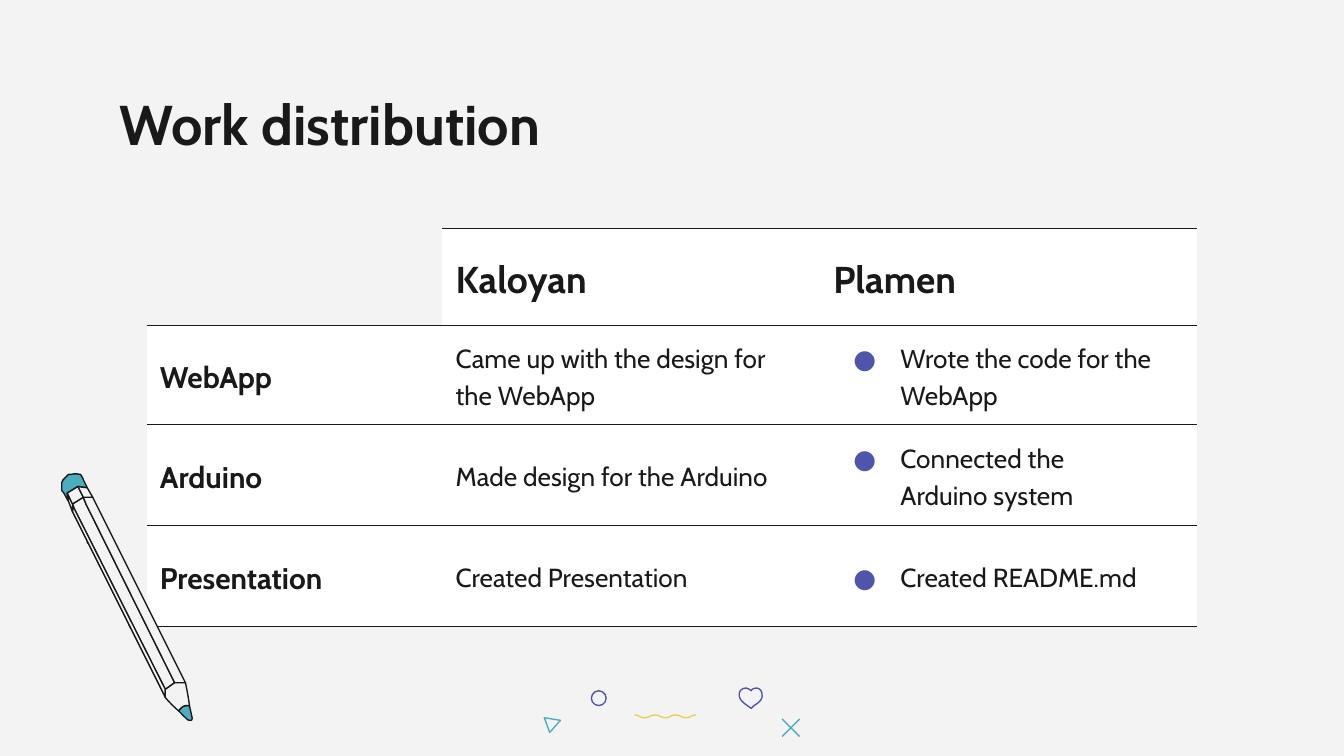
from lxml import etree
from pptx import Presentation
from pptx.dml.color import RGBColor
from pptx.enum.shapes import MSO_CONNECTOR, MSO_SHAPE
from pptx.enum.text import MSO_ANCHOR
from pptx.oxml import parse_xml
from pptx.oxml.ns import nsdecls, qn
from pptx.util import Inches, Pt

STRAIGHT = MSO_CONNECTOR.STRAIGHT
OVAL = MSO_SHAPE.OVAL
TOP, MIDDLE = MSO_ANCHOR.TOP, MSO_ANCHOR.MIDDLE
PLAIN = "{2D5ABB26-0587-4C30-8999-92F81FD0307C}"
HARD = chr(160)
THEME = {
    "font": "Cabin", "paper": "F3F3F3", "white": "FFFFFF", "ink": "191919",
    "teal": "4AAEBF", "blue": "4F55AB", "gold": "E8D24F",
    "title": 30, "head": 20, "label": 16, "body": 14, "line": 0.75,
}


def color(name):
    return RGBColor.from_string(THEME[name])


def draw(steps, line, fill=None, close=True):
    x, y = steps[0]
    dots = []
    for step in steps[1:]:
        if len(step) == 2:
            dots.append(step)
        else:
            a, b, c, d, e, f = step
            for i in range(1, 9):
                t = i / 8
                u = 1 - t
                dots.append((
                    u**3 * x + 3 * u * u * t * a + 3 * u * t * t * c + t**3 * e,
                    u**3 * y + 3 * u * u * t * b + 3 * u * t * t * d + t**3 * f,
                ))
        x, y = step[-2:]
    pen = shapes.build_freeform(Inches(steps[0][0]), Inches(steps[0][1]))
    pen.add_line_segments([(Inches(p), Inches(q)) for p, q in dots], close)
    form = pen.convert_to_shape()
    form.shadow.inherit = False
    form.line.color.rgb = color(line)
    form.line.width = Pt(THEME["line"])
    if fill:
        form.fill.solid()
        form.fill.fore_color.rgb = color(fill)
    else:
        form.fill.background()


deck = Presentation()
deck.slide_width, deck.slide_height = Inches(10), Inches(10 * 9 / 16)
slide = deck.slides.add_slide(deck.slide_layouts[6])
slide.background.fill.solid()
slide.background.fill.fore_color.rgb = color("paper")
shapes = slide.shapes

ring = shapes.add_shape(OVAL, Inches(4.4), Inches(5.14), Inches(0.11), Inches(0.11))
ring.shadow.inherit = False
ring.fill.background()
ring.line.color.rgb = color("blue")
ring.line.width = Pt(THEME["line"])

draw([(4.05, 5.34), (4.09, 5.45), (4.17, 5.36)], "teal")

wave = [(4.72, 5.32)]
for i in range(6):
    left, right = 4.72 + i * 0.46 / 6, 4.72 + (i + 1) * 0.46 / 6
    mid = (left + right) / 2
    start, end = (5.32, 5.34) if i % 2 == 0 else (5.34, 5.32)
    wave.append((mid, start, mid, end, right, end))
draw(wave, "gold", close=False)

for start, end in ((5.35, 5.48), (5.48, 5.35)):
    bar = shapes.add_connector(
        STRAIGHT, Inches(5.82), Inches(start), Inches(5.95), Inches(end))
    bar.line.color.rgb = color("teal")
    bar.line.width = Pt(THEME["line"])
    etree.SubElement(bar.element.spPr, qn("a:effectLst"))

heart = [
    (5.59, 5.27), (5.56, 5.25), (5.5, 5.21, 5.5, 5.18, 5.5, 5.17),
    (5.5, 5.14, 5.52, 5.12, 5.55, 5.12), (5.56, 5.12, 5.58, 5.13, 5.59, 5.14),
    (5.59, 5.13, 5.61, 5.12, 5.63, 5.12), (5.65, 5.12, 5.67, 5.14, 5.67, 5.17),
    (5.67, 5.18, 5.68, 5.21, 5.61, 5.25),
]
draw(heart, "blue")

title = shapes.add_textbox(Inches(0.79), Inches(0.57), Inches(8.43), Inches(0.63))
frame = title.text_frame
frame.word_wrap = True
frame.vertical_anchor = TOP
frame.margin_left = frame.margin_right = Inches(0.1)
frame.margin_top = frame.margin_bottom = Inches(0.1)
frame.text = "Work distribution"
font = frame.paragraphs[0].runs[0].font
font.name, font.size, font.bold = THEME["font"], Pt(THEME["title"]), True
font.color.rgb = color("ink")

rows = [
    ["", "Kaloyan", "Plamen"],
    ["WebApp", "Came up with the design for the WebApp", "Wrote the code for the WebApp"],
    ["Arduino", f"Made{HARD}design for the Arduino", f"Connected the Arduino{HARD}system"],
    ["Presentation", f"Created{HARD}Presentation", "Created README.md"],
]
holder = shapes.add_table(4, 3, Inches(1.09), Inches(1.7), Inches(7.82), Inches(2.96))
table = holder.table
table.first_row = table.horz_banding = False
table._tbl.tblPr.find(qn("a:tableStyleId")).text = PLAIN
for col, width in zip(table.columns, (2.2, 2.81, 2.81)):
    col.width = Inches(width)
for row, height in zip(table.rows, (0.72, 0.74, 0.75, 0.75)):
    row.height = Inches(height)

for r, row in enumerate(rows):
    for c, text in enumerate(row):
        cell = table.cell(r, c)
        cell.vertical_anchor = MIDDLE
        cell.margin_left = cell.margin_right = Inches(0.1)
        cell.margin_top = cell.margin_bottom = Inches(0.1)
        props = cell._tc.get_or_add_tcPr()
        for side in (("lnT", "lnB") if r or c else ("lnB",)):
            props.append(parse_xml(
                f'<a:{side} {nsdecls("a")} w="{Pt(THEME["line"])}"><a:solidFill>'
                f'<a:srgbClr val="{THEME["ink"]}"/></a:solidFill></a:{side}>'))
        if not text:
            cell.fill.background()
            continue
        cell.fill.solid()
        cell.fill.fore_color.rgb = color("white")
        cell.text_frame.text = text
        para = cell.text_frame.paragraphs[0]
        para.line_spacing = 1.15
        size = "head" if r == 0 else "label" if c == 0 else "body"
        font = para.runs[0].font
        font.name, font.size = THEME["font"], Pt(THEME[size])
        font.bold = size != "body"
        font.color.rgb = color("ink")
        if r and c == 2:
            ppr = para._p.get_or_add_pPr()
            ppr.set("marL", str(Inches(0.5)))
            ppr.set("indent", str(Inches(-0.35)))
            tint = etree.SubElement(ppr, qn("a:buClr"))
            etree.SubElement(tint, qn("a:srgbClr"), val=THEME["blue"])
            etree.SubElement(ppr, qn("a:buFont"), typeface=THEME["font"])
            etree.SubElement(ppr, qn("a:buChar"), char="●")

pencil = [
    ("paper", [(0.65, 4.03), (0.65, 4.04), (0.79, 4.01),
               (0.8, 4.01, 0.81, 4.01, 0.82, 4.01), (0.82, 4)]),
    ("paper", [(0.96, 4.65), (0.97, 4.67, 0.98, 4.67, 0.98, 4.67), (0.97, 4.67)]),
    ("teal", [(0.53, 3.53), (0.51, 3.53), (0.49, 3.55), (0.47, 3.57), (0.46, 3.59),
              (0.46, 3.65), (0.48, 3.67, 0.49, 3.7, 0.51, 3.73), (0.5, 3.67),
              (0.58, 3.62), (0.65, 3.63), (0.62, 3.57),
              (0.62, 3.56, 0.61, 3.55, 0.6, 3.53), (0.58, 3.53, 0.57, 3.52, 0.53, 3.53)]),
    ("paper", [(0.62, 3.7), (0.54, 3.75), (0.55, 3.78), (1.23, 5.13), (1.3, 5.08), (0.64, 3.75)]),
    ("paper", [(0.54, 3.75), (0.54, 3.81), (1.23, 5.19), (1.23, 5.13), (0.55, 3.78)]),
    ("paper", [(0.5, 3.67), (0.51, 3.73), (0.54, 3.81), (0.54, 3.75)]),
    ("paper", [(0.58, 3.62), (0.5, 3.67), (0.54, 3.75), (0.62, 3.7)]),
    ("paper", [(0.62, 3.7), (0.64, 3.75), (1.3, 5.08), (1.38, 5.08), (0.69, 3.7)]),
    ("paper", [(0.58, 3.62), (0.62, 3.7), (0.69, 3.7), (0.65, 3.63)]),
    ("teal", [(1.39, 5.25), (1.37, 5.25, 1.35, 5.26, 1.33, 5.29),
              (1.36, 5.32, 1.39, 5.35, 1.39, 5.35), (1.4, 5.36, 1.41, 5.36, 1.42, 5.36),
              (1.43, 5.36, 1.43, 5.35, 1.43, 5.34), (1.41, 5.25)]),
    ("paper", [(1.3, 5.08), (1.23, 5.13), (1.23, 5.19), (1.23, 5.19, 1.28, 5.25, 1.33, 5.29),
               (1.35, 5.26, 1.37, 5.25, 1.39, 5.25), (1.41, 5.25),
               (1.4, 5.17, 1.38, 5.08, 1.38, 5.08)]),
]
for fill, steps in pencil:
    draw(steps, "ink", fill)

deck.save("out.pptx")
